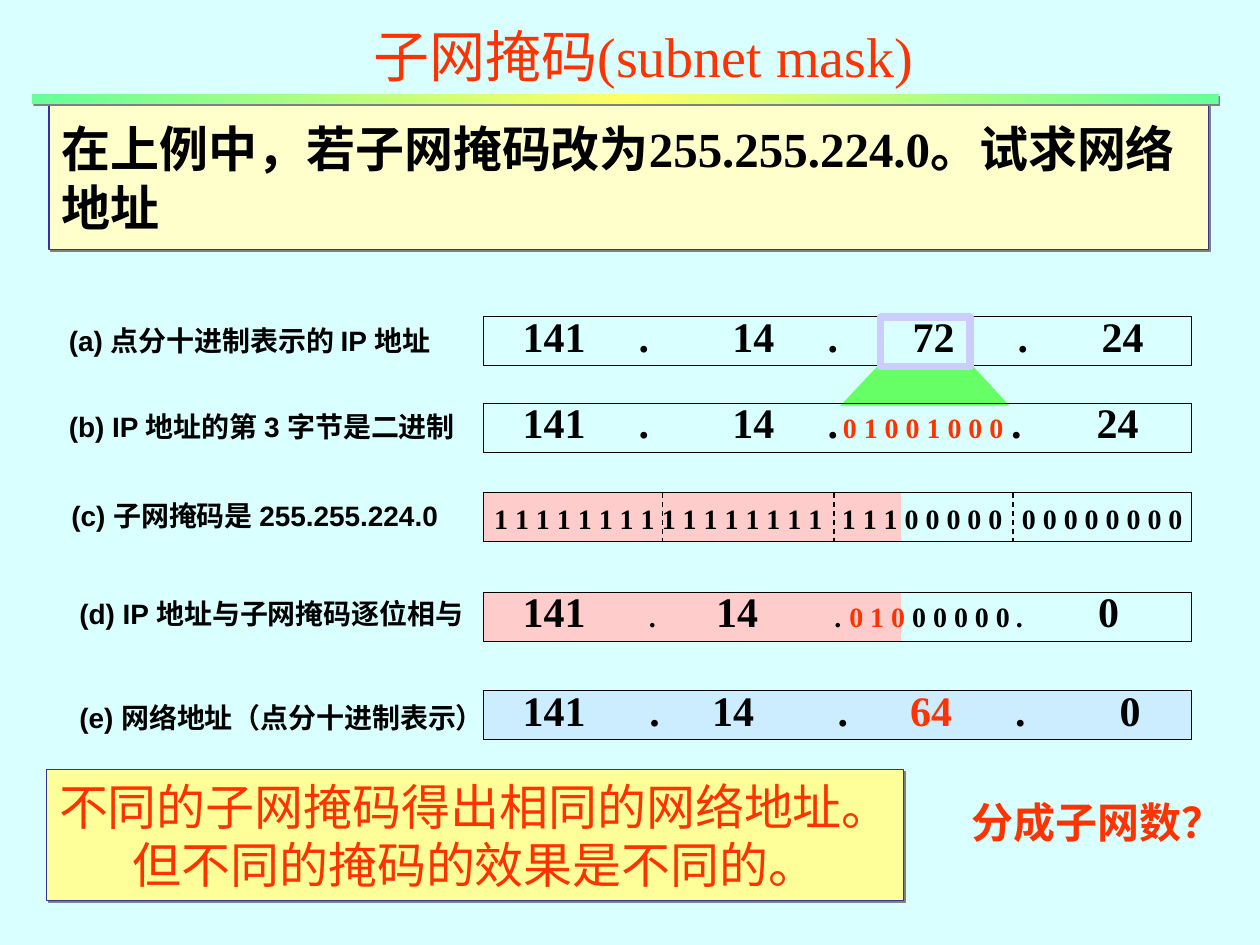
from copy import deepcopy

from lxml import etree
from pptx import Presentation
from pptx.dml.color import RGBColor
from pptx.enum.dml import MSO_LINE
from pptx.enum.shapes import MSO_CONNECTOR, MSO_SHAPE
from pptx.enum.text import MSO_ANCHOR, MSO_AUTO_SIZE, PP_ALIGN
from pptx.oxml.ns import qn
from pptx.util import Cm, Pt

RECTANGLE = MSO_SHAPE.RECTANGLE
STRAIGHT = MSO_CONNECTOR.STRAIGHT
LEFT, CENTER = PP_ALIGN.LEFT, PP_ALIGN.CENTER
TOP, MIDDLE = MSO_ANCHOR.TOP, MSO_ANCHOR.MIDDLE
NO_RESIZE, DASH = MSO_AUTO_SIZE.NONE, MSO_LINE.DASH

SERIF, SANS, ROUND = "Times New Roman", "Arial", "Lato"
BLACK, RED, NAVY, PINK = "000000", "FF3300", "333399", "FFCCCC"
ROW_LEFT, ROW_WIDTH, ROW_HEIGHT = 9.75, 14.27, 0.99
MASK_WIDTH = 8.41
NUMBER, BITS = {"size": 24}, {"size": 16}
RED_NUMBER, RED_BITS = {"size": 24, "color": RED}, {"size": 16, "color": RED}

# Each cell: centre within the row (None continues the cell before), text, style
ROWS = [
    {"label": "(a) 点分十进制表示的 IP 地址", "label_at": (1.14, 6.4), "top": 6.38,
     "cells": [(1.42, "141", NUMBER), (3.23, ".", NUMBER), (5.44, "14", NUMBER),
               (7.04, ".", NUMBER), (9.07, "72", NUMBER), (10.87, ".", NUMBER),
               (12.88, "24", NUMBER)]},
    {"label": "(b) IP 地址的第 3 字节是二进制", "label_at": (1.14, 8.13), "top": 8.13,
     "cells": [(1.42, "141", NUMBER), (3.23, ".", NUMBER), (5.44, "14", NUMBER),
               (7.04, ".", NUMBER), (8.86, "0 1 0 0 1 0 0 0", RED_BITS),
               (10.74, ".", NUMBER), (12.78, "24", NUMBER)]},
    {"label": "(c) 子网掩码是 255.255.224.0", "label_at": (1.19, 9.93), "top": 9.93,
     "masked": True, "text_shift": 0.18,
     "cells": [(1.83, "1 1 1 1 1 1 1 1", BITS), (5.21, "1 1 1 1 1 1 1 1", BITS),
               (8.84, "1 1 1 0 0 0 0 0", BITS), (12.47, "0 0 0 0 0 0 0 0", BITS)]},
    {"label": "(d) IP 地址与子网掩码逐位相与", "label_at": (1.35, 11.91), "top": 11.94,
     "masked": True,
     "cells": [(1.42, "141", NUMBER), (3.4, ".", BITS), (5.11, "14", NUMBER),
               (7.14, ".", BITS), (8.99, "0 1 0", RED_BITS),
               (None, " 0 0 0 0 0", BITS), (10.8, ".", BITS), (12.6, "0", NUMBER)]},
    {"label": "(e) 网络地址（点分十进制表示）", "label_at": (1.35, 14), "top": 13.92,
     "fill": "CCECFF",
     "cells": [(1.42, "141", NUMBER), (3.45, ".", NUMBER), (5.03, "14", NUMBER),
               (7.24, ".", NUMBER), (9.02, "64", RED_NUMBER), (10.82, ".", NUMBER),
               (13.03, "0", NUMBER)]},
]
BYTE_BORDERS = (13.36, 16.81, 20.42)
BEAM = [(17.75, 7.32), (19.56, 7.32), (20.35, 8.18), (16.94, 8.18)]
QUESTION = "在上例中，若子网掩码改为255.255.224.0。试求网络地址"
CONCLUSION = ["不同的子网掩码得出相同的网络地址。", "但不同的掩码的效果是不同的。"]


def rgb(value):
    return RGBColor.from_string(value)


def paint(shape, fill=None, line=None, line_width=0.75, shadow=False):
    shape.shadow.inherit = False
    if fill:
        shape.fill.solid()
        shape.fill.fore_color.rgb = rgb(fill)
    else:
        shape.fill.background()
    if line:
        shape.line.color.rgb = rgb(line)
        shape.line.width = Pt(line_width)
    else:
        shape.line.fill.background()
    if shadow:
        effects = shape._element.spPr.find(qn("a:effectLst"))
        outer = etree.SubElement(effects, qn("a:outerShdw"), dist=str(Pt(1.4)),
                                 dir="2700000", algn="ctr", rotWithShape="0")
        etree.SubElement(outer, qn("a:srgbClr"), val="808080")


def add_rectangle(page, left, top, width, height, **style):
    shape = page.shapes.add_shape(RECTANGLE, Cm(left), Cm(top), Cm(width), Cm(height))
    paint(shape, **style)
    return shape


def add_span(para, text, size, color=BLACK, font=SERIF, bold=True):
    span = para.add_run()
    span.text = text
    span.font.size, span.font.name, span.font.bold = Pt(size), font, bold
    span.font.color.rgb = rgb(color)


def write(shape, lines, align=LEFT, anchor=TOP, **style):
    frame = shape.text_frame
    frame.word_wrap = True
    frame.auto_size = NO_RESIZE
    frame.vertical_anchor = anchor
    for number, text in enumerate(lines):
        para = frame.add_paragraph() if number else frame.paragraphs[0]
        para.alignment = align
        add_span(para, text, **style)


def add_text(page, text, left, top, width, height, **style):
    box = page.shapes.add_textbox(Cm(left), Cm(top), Cm(width), Cm(height))
    write(box, [text], **style)


def add_cells(page, cells, top):
    """Write one row of address parts, each centred on its own tab stop."""
    box = page.shapes.add_textbox(Cm(ROW_LEFT), Cm(top), Cm(ROW_WIDTH), Cm(1))
    frame = box.text_frame
    frame.word_wrap = True
    frame.margin_left = frame.margin_right = frame.margin_top = frame.margin_bottom = 0
    para = frame.paragraphs[0]
    stops = etree.SubElement(para._p.get_or_add_pPr(), qn("a:tabLst"))
    for center, text, style in cells:
        if center is not None:
            etree.SubElement(stops, qn("a:tab"), pos=str(Cm(center)), algn="ctr")
            text = "\t" + text
        add_span(para, text, **style)


def add_row(page, row):
    top = row["top"]
    if row.get("masked"):
        add_rectangle(page, ROW_LEFT, top, MASK_WIDTH, ROW_HEIGHT, fill=PINK)
    add_rectangle(page, ROW_LEFT, top, ROW_WIDTH, ROW_HEIGHT,
                  fill=row.get("fill"), line=BLACK)
    add_cells(page, row["cells"], top + row.get("text_shift", -0.13))
    add_text(page, row["label"], *row["label_at"], 9.4, 0.92, size=16, font=SANS)


def add_byte_border(page, left, top):
    border = page.shapes.add_connector(STRAIGHT, Cm(left), Cm(top),
                                       Cm(left), Cm(top + ROW_HEIGHT))
    border.line.color.rgb = rgb(BLACK)
    border.line.width = Pt(0.75)
    border.line.dash_style = DASH
    etree.SubElement(border._element.spPr, qn("a:effectLst"))


def add_gradient_bar(page):
    bar = add_rectangle(page, 0.64, 1.9, 23.93, 0.2, shadow=True)
    bar.fill.gradient()
    bar.fill.gradient_angle = 0
    edge, middle = bar.fill.gradient_stops
    edge.position, edge.color.rgb = 0, rgb("66FF99")
    middle.position, middle.color.rgb = 0.5, rgb("FFFF66")
    stops = bar._element.spPr.find(".//" + qn("a:gsLst"))
    end = deepcopy(stops[0])
    end.set("pos", "100000")
    stops.append(end)


def main():
    deck = Presentation()
    deck.slide_width, deck.slide_height = Cm(25.4), Cm(19.05)
    page = deck.slides.add_slide(deck.slide_layouts[5])
    page.background.fill.solid()
    page.background.fill.fore_color.rgb = rgb("D9FFFF")

    title = page.shapes.title
    title.left, title.top, title.width, title.height = Cm(0.99), Cm(2.11), Cm(23.37), Cm(2.92)
    paint(title, fill="FFFFCC", line=NAVY, shadow=True)
    write(title, [QUESTION], anchor=MIDDLE, size=28)

    builder = page.shapes.build_freeform(Cm(BEAM[0][0]), Cm(BEAM[0][1]))
    builder.add_line_segments([(Cm(x), Cm(y)) for x, y in BEAM[1:]], close=True)
    paint(builder.convert_to_shape(), fill="66FF66")

    for row in ROWS:
        add_row(page, row)
    for left in BYTE_BORDERS:
        add_byte_border(page, left, ROWS[2]["top"])
    add_rectangle(page, 17.75, 6.4, 1.8, ROW_HEIGHT, line="CCCCFF", line_width=4.5)

    conclusion = add_rectangle(page, 0.94, 15.52, 17.27, 2.64,
                               fill="FFFF99", line=NAVY, shadow=True)
    write(conclusion, CONCLUSION, align=CENTER, size=28, color=RED, font=ROUND, bold=False)
    add_text(page, "子网掩码(subnet mask)", 2.49, 0, 20.96, 2.21,
             align=CENTER, anchor=MIDDLE, size=32, color=RED, bold=False)
    add_gradient_bar(page)
    add_text(page, "分成子网数？", 19.33, 15.93, 5.9, 1.27, size=24, color=RED)

    deck.save("out.pptx")


if __name__ == "__main__":
    main()
